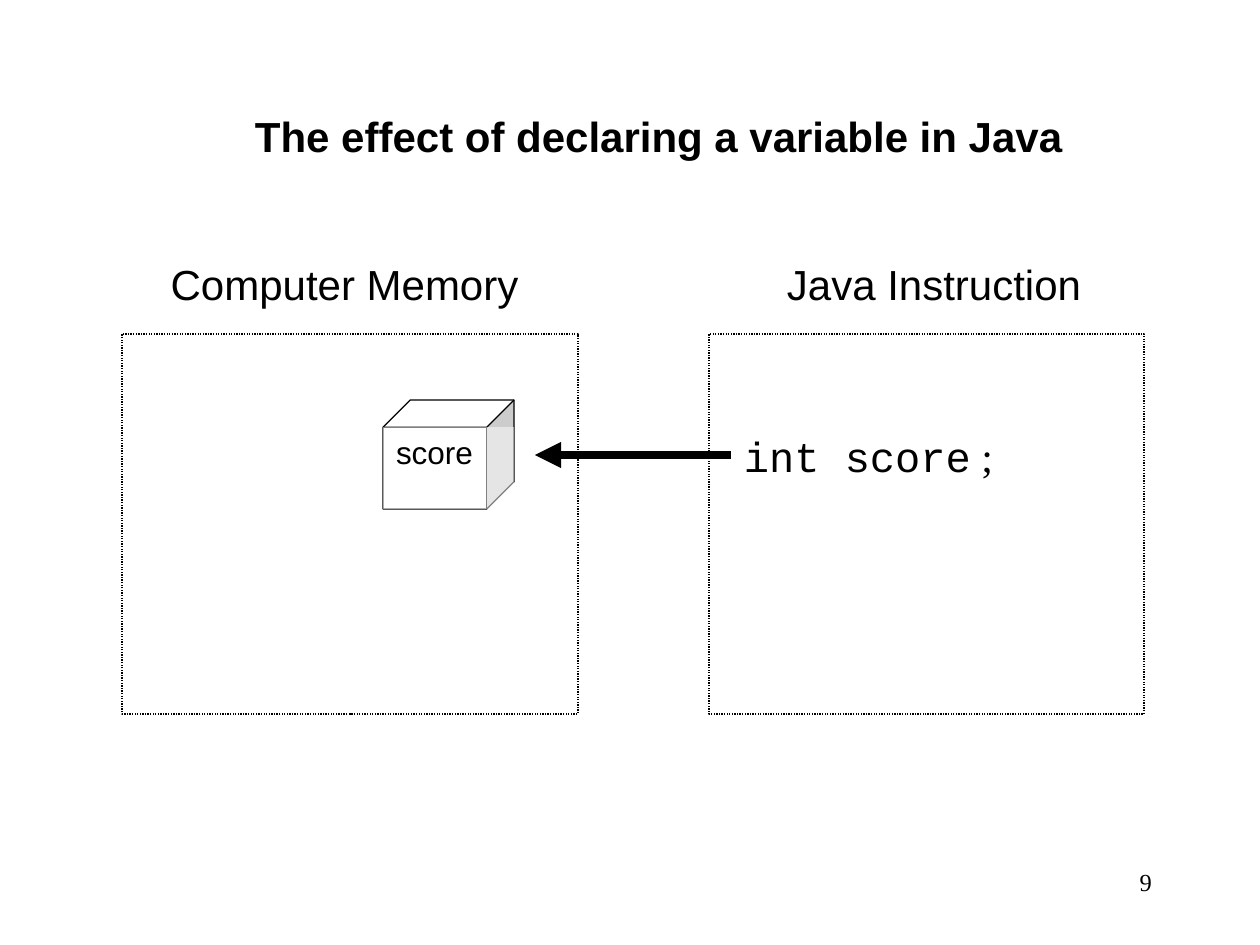
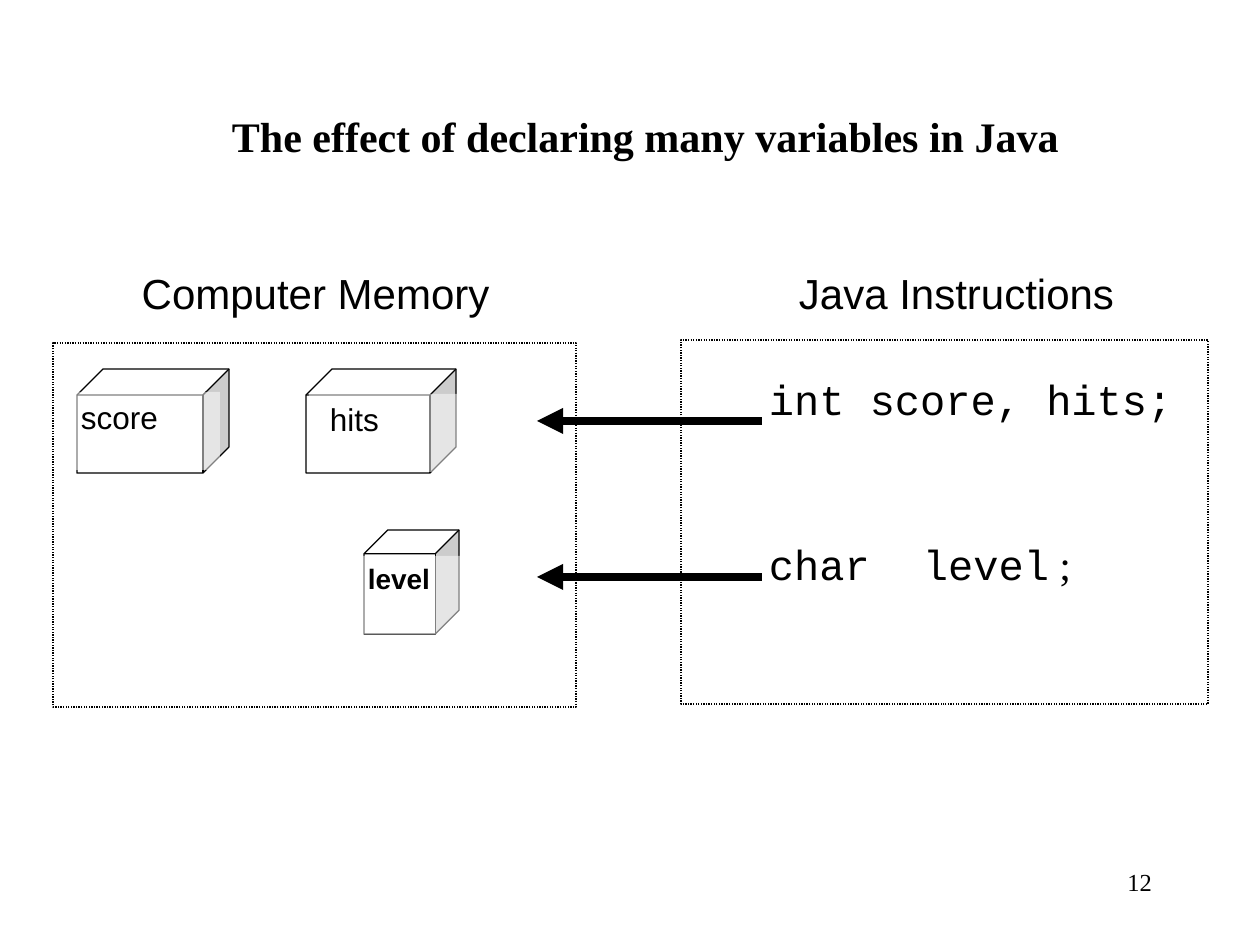
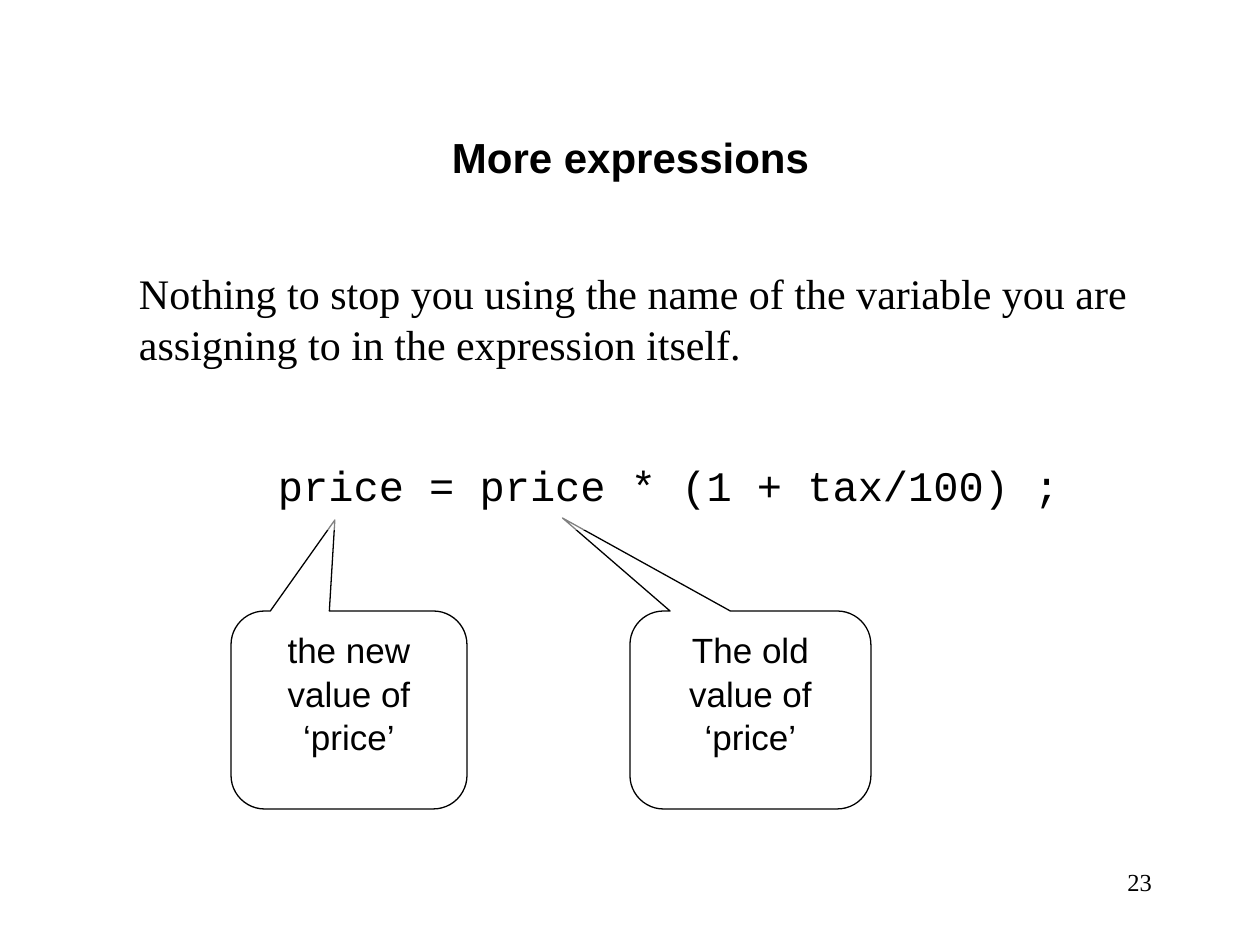
from lxml import etree
from pptx import Presentation
from pptx import util as u
from pptx.dml.color import RGBColor
from pptx.enum import dml, shapes, text
from pptx.oxml.ns import qn

BLACK = RGBColor(0, 0, 0)
WHITE = RGBColor(255, 255, 255)
SANS, SERIF, MONO = "Arial", "Times New Roman", "Courier New"
LEFT, CENTER, RIGHT = text.PP_ALIGN.LEFT, text.PP_ALIGN.CENTER, text.PP_ALIGN.RIGHT
SCALE = u.Inches(1) / 126
FORM = shapes.MSO_SHAPE


def px(length):
    return round(length * SCALE)


class Lesson:
    """Builds lesson slides in one plain black and white style."""

    def __init__(self):
        self.deck = Presentation()
        self.deck.slide_width, self.deck.slide_height = px(1260), px(945)

    def start(self, number):
        self.page = self.deck.slides.add_slide(self.deck.slide_layouts[6])
        self.label((903, 861, 262, 63), str(number), font=SERIF, size=14, align=RIGHT)

    def shape(self, area, form=FORM.RECTANGLE, fill=WHITE, line=False, dash=None, alpha=None, adjust=()):
        box = self.page.shapes.add_shape(form, *map(px, area))
        box.shadow.inherit = False
        for index, value in enumerate(adjust):
            box.adjustments[index] = value
        if fill is None:
            box.fill.background()
        else:
            box.fill.solid()
            box.fill.fore_color.rgb = fill
        if alpha:
            color = box._element.spPr.find(f"{qn('a:solidFill')}/{qn('a:srgbClr')}")
            etree.SubElement(color, qn("a:alpha"), val=str(alpha * 1000))
        if line:
            box.line.color.rgb = BLACK
            box.line.width = u.Pt(0.75)
            box.line.dash_style = dash
        else:
            box.line.fill.background()
        return box

    def fill_text(self, box, *lines, font=SANS, size=24, bold=False, align=LEFT,
                  left=13, top=6, tab=None, **spacing):
        frame = box.text_frame
        settings = {"word_wrap": True, "vertical_anchor": text.MSO_ANCHOR.TOP,
                    "margin_left": px(left), "margin_right": px(13),
                    "margin_top": px(top), "margin_bottom": px(6)}
        for name, value in settings.items():
            setattr(frame, name, value)
        for index, line in enumerate(lines):
            para = frame.add_paragraph() if index else frame.paragraphs[0]
            para.alignment = align
            for name, value in spacing.items():
                setattr(para, name, value)
            if tab:
                stops = etree.SubElement(para._p.get_or_add_pPr(), qn("a:tabLst"))
                etree.SubElement(stops, qn("a:tab"), pos=str(px(tab)), algn="l")
            spans = [(line, font)] if isinstance(line, str) else line
            for words, face in spans:
                span = para.add_run()
                span.text = words
                formats = {"name": face, "size": u.Pt(size), "bold": bold}
                for name, value in formats.items():
                    setattr(span.font, name, value)
                span.font.color.rgb = BLACK

    def label(self, area, *lines, **style):
        self.fill_text(self.page.shapes.add_textbox(*map(px, area)), *lines, **style)

    def panel(self, area, fill=WHITE):
        self.shape(area, fill=fill, line=True, dash=dml.MSO_LINE.ROUND_DOT)

    def variable(self, cube, veil, name, **style):
        self.shape(cube, FORM.CUBE, line=True, adjust=(0.25,))
        self.fill_text(self.shape(veil, alpha=50), name, **{"size": 18, **style})

    def callout(self, area, words, adjust):
        box = self.shape(area, FORM.ROUNDED_RECTANGULAR_CALLOUT, line=True, adjust=adjust)
        self.fill_text(box, words, size=20, align=CENTER, line_spacing=1.04)

    def arrow(self, start, end, y):
        line = self.page.shapes.add_connector(shapes.MSO_CONNECTOR.STRAIGHT, *map(px, (start, y, end, y)))
        line.line.color.rgb = BLACK
        line.line.width = u.Pt(5)
        properties = line._element.spPr
        etree.SubElement(properties.find(qn("a:ln")), qn("a:tailEnd"), type="triangle")
        etree.SubElement(properties, qn("a:effectLst"))


def one_variable(lesson):
    lesson.start(9)
    lesson.label((242, 105, 853, 86), "The effect of declaring a variable in Java", bold=True)
    lesson.panel((122, 334, 456, 380))
    lesson.label((731, 399, 305, 190), [("int score", MONO), (" ;", SERIF)], line_spacing=1.5)
    lesson.label((105, 252, 479, 92), "Computer Memory", align=CENTER)
    lesson.label((760, 252, 348, 82), "Java Instruction", align=CENTER)
    lesson.variable((383, 400, 131, 109), (383, 427, 131, 82), "score")
    lesson.panel((709, 334, 435, 380), fill=None)
    lesson.arrow(731, 535, 455)


def many_variables(lesson):
    lesson.start(12)
    lesson.label((105, 105, 1081, 63), "The effect of declaring many variables in Java",
                 font=SERIF, bold=True, align=CENTER)
    lesson.label((756, 368, 451, 286), "int score, hits;", [("char\tlevel", MONO), (" ;", SERIF)],
                 font=MONO, tab=154, space_before=u.Pt(65))
    lesson.label((756, 262, 401, 78), "Java Instructions", align=CENTER)
    lesson.panel((681, 340, 527, 364), fill=None)
    lesson.panel((53, 343, 523, 364))
    lesson.label((54, 262, 523, 78), "Computer Memory", align=CENTER)
    lesson.variable((306, 369, 150, 104), (309, 394, 150, 78), "hits", left=21)
    lesson.variable((77, 369, 152, 104), (68, 392, 152, 78), "score")
    lesson.variable((364, 530, 95, 104), (340, 556, 166, 78), "level", size=16, bold=True, left=28)
    for y in (421, 577):
        lesson.arrow(762, 537, y)


def expressions(lesson):
    lesson.start(23)
    lesson.label((116, 126, 1029, 63), "More expressions", bold=True, align=CENTER)
    lesson.label((126, 262, 1040, 113),
                 "Nothing to stop you using the name of the variable you are "
                 "assigning to in the expression itself.", font=SERIF)
    lesson.callout((630, 611, 241, 198), "The old value of ‘price’", (-0.78, -0.97, 0.17))
    lesson.callout((231, 611, 236, 198), "the new value of ‘price’", (-0.06, -0.96, 0.17))
    lesson.fill_text(lesson.shape((265, 399, 816, 131), alpha=50),
                     "price = price * (1 + tax/100) ;", font=MONO, top=60)


def main():
    lesson = Lesson()
    for build in (one_variable, many_variables, expressions):
        build(lesson)
    lesson.deck.save("out.pptx")


if __name__ == "__main__":
    main()
